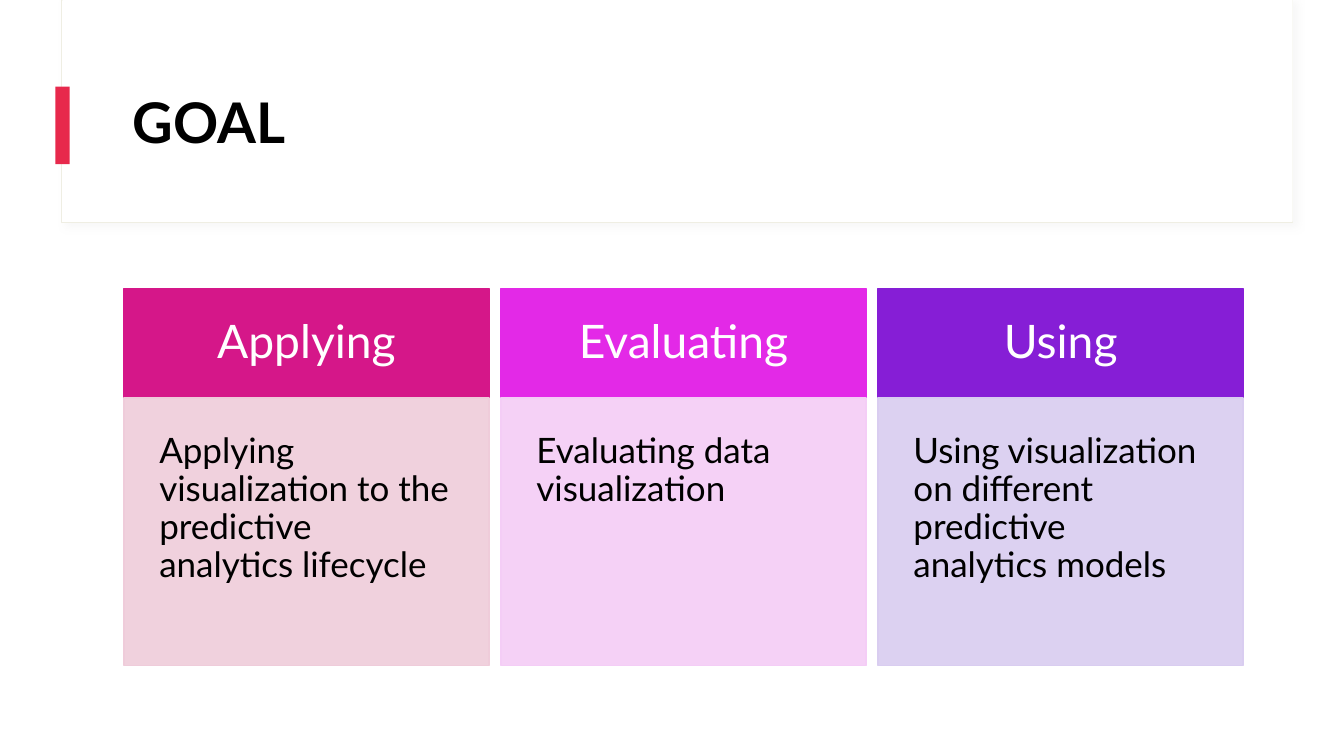
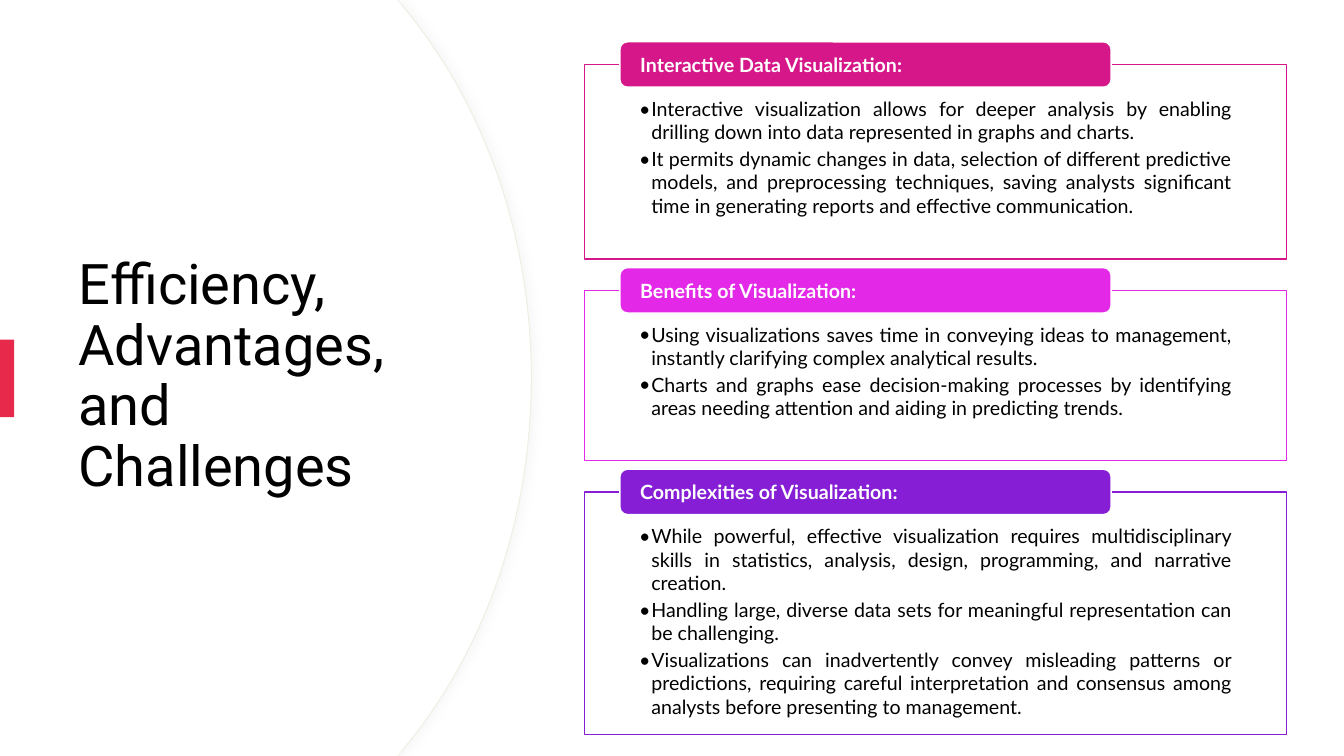
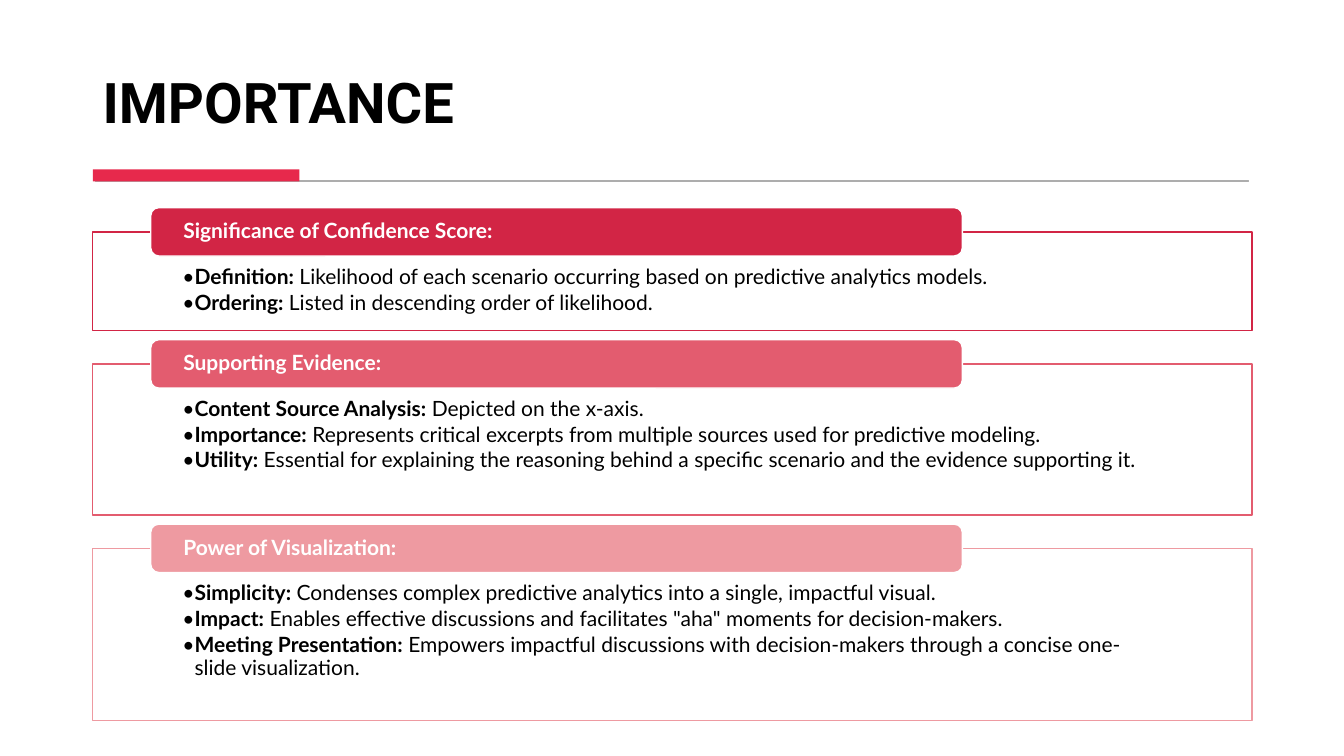
from lxml import etree
from pptx import Presentation, util as u
from pptx.dml.color import RGBColor
from pptx.enum import shapes, text
from pptx.oxml import ns

W, H = 13.33, 7.5
WHITE, BLACK, ACCENT, EDGE, RULE = "FFFFFF", "000000", "E7294C", "EFEEE3", "ADADAD"
PINK, MAGENTA, VIOLET = "D51789", "E329E7", "861ED6"
RECT, ROUND = shapes.MSO_SHAPE.RECTANGLE, shapes.MSO_SHAPE.ROUNDED_RECTANGLE
TOP, MIDDLE, BOTTOM = text.MSO_ANCHOR.TOP, text.MSO_ANCHOR.MIDDLE, text.MSO_ANCHOR.BOTTOM
LEFT, CENTER, JUSTIFY = text.PP_ALIGN.LEFT, text.PP_ALIGN.CENTER, text.PP_ALIGN.JUSTIFY

GOALS = [
    ("Applying", "Applying visualization to the predictive analytics lifecycle", PINK, "EFCCDA"),
    ("Evaluating", "Evaluating data visualization", MAGENTA, "F4CDF6"),
    ("Using", "Using visualization on different predictive analytics models", VIOLET, "D9CDF0"),
]

EFFICIENCY = [
    ("Interactive Data Visualization:", PINK, 1.93, [
        ("", "Interactive visualization allows for deeper analysis by enabling drilling down into data "
             "represented in graphs and charts."),
        ("", "It permits dynamic changes in data, selection of different predictive models, and "
             "preprocessing techniques, saving analysts significant time in generating reports and "
             "effective communication."),
    ]),
    ("Benefits of Visualization:", MAGENTA, 1.69, [
        ("", "Using visualizations saves time in conveying ideas to management, instantly clarifying "
             "complex analytical results."),
        ("", "Charts and graphs ease decision-making processes by identifying areas needing attention "
             "and aiding in predicting trends."),
    ]),
    ("Complexities of Visualization:", VIOLET, 2.41, [
        ("", "While powerful, effective visualization requires multidisciplinary skills in statistics, "
             "analysis, design, programming, and narrative creation."),
        ("", "Handling large, diverse data sets for meaningful representation can be challenging."),
        ("", "Visualizations can inadvertently convey misleading patterns or predictions, requiring "
             "careful interpretation and consensus among analysts before presenting to management."),
    ]),
]

IMPORTANCE = [
    ("Significance of Confidence Score:", "D22545", 0.98, [
        ("Definition:", " Likelihood of each scenario occurring based on predictive analytics models."),
        ("Ordering:", " Listed in descending order of likelihood."),
    ]),
    ("Supporting Evidence:", "E35C6F", 1.5, [
        ("Content Source Analysis:", " Depicted on the x-axis."),
        ("Importance:", " Represents critical excerpts from multiple sources used for predictive modeling."),
        ("Utility:", " Essential for explaining the reasoning behind a specific scenario and the evidence "
                     "supporting it."),
    ]),
    ("Power of Visualization:", "EE9AA1", 1.71, [
        ("Simplicity:", " Condenses complex predictive analytics into a single, impactful visual."),
        ("Impact:", " Enables effective discussions and facilitates \"aha\" moments for decision-makers."),
        ("Meeting Presentation:", " Empowers impactful discussions with decision-makers through a concise "
                                  "one-slide visualization."),
    ]),
]


def rgb(value):
    return RGBColor.from_string(value)


def paint(sp, fill, line=None, width=1, alpha=100):
    sp.shadow.inherit = False
    sp.fill.solid()
    sp.fill.fore_color.rgb = rgb(fill)
    if alpha < 100:
        color = sp._element.spPr.find(ns.qn("a:solidFill"))[0]
        etree.SubElement(color, ns.qn("a:alpha"), val=str(alpha * 1000))
    if line:
        sp.line.color.rgb = rgb(line)
        sp.line.width = u.Pt(width)
    else:
        sp.line.fill.background()
    return sp


def box(s, x, y, w, h, fill, line=None, kind=RECT, width=1, alpha=100):
    sp = s.shapes.add_shape(kind, *map(u.Inches, (x, y, w, h)))
    return paint(sp, fill, line, width, alpha)


def cast_shadow(sp, angle):
    effects = sp._element.spPr.find(ns.qn("a:effectLst"))
    outer = etree.SubElement(effects, ns.qn("a:outerShdw"), blurRad=str(u.Pt(6)),
                             dist=str(u.Pt(3)), dir=str(angle * 60000), rotWithShape="0")
    color = etree.SubElement(outer, ns.qn("a:srgbClr"), val="D9D9D9")
    etree.SubElement(color, ns.qn("a:alpha"), val="20000")


def frame(sp, insets, anchor):
    tf = sp.text_frame
    tf.word_wrap = True
    tf.vertical_anchor = anchor
    tf.margin_left, tf.margin_top, tf.margin_right, tf.margin_bottom = map(u.Inches, insets)
    return tf


def style(p, size, color=BLACK, bold=False, font="Lato", align=LEFT, spacing=0.9):
    p.alignment = align
    p.line_spacing = spacing
    for r in p.runs:
        r.font.name, r.font.size, r.font.bold = font, u.Pt(size), bold
        r.font.color.rgb = rgb(color)


def write(sp, words, insets, anchor, **look):
    tf = frame(sp, insets, anchor)
    tf.text = words
    style(tf.paragraphs[0], **look)


def title(s, words, x, y, w, h, anchor=MIDDLE, **look):
    sp = s.shapes.add_textbox(*map(u.Inches, (x, y, w, h)))
    write(sp, words, (0.1, 0.05, 0.1, 0.05), anchor, size=40, **look)


def bullet(p, indent=0.12):
    pPr = p._p.get_or_add_pPr()
    pPr.set("marL", str(u.Inches(indent)))
    pPr.set("indent", str(-u.Inches(indent)))
    etree.SubElement(pPr, ns.qn("a:buFont"), typeface="Lato")
    etree.SubElement(pPr, ns.qn("a:buChar"), char="•")


def panels(s, sections, x, y, w, gap, tab_h, size, insets, tab_inset, align, spacing):
    for heading, color, h, points in sections:
        tf = frame(box(s, x, y, w, h, WHITE, color, alpha=90), insets, TOP)
        for i, (lead, rest) in enumerate(points):
            p = tf.add_paragraph() if i else tf.paragraphs[0]
            bullet(p)
            p.space_after = u.Pt(0.15 * size)
            for words in filter(None, (lead, rest)):
                p.add_run().text = words
            style(p, size, align=align, spacing=spacing)
            p.runs[0].font.bold = bool(lead)
        tab = box(s, x + 0.05 * w, y - tab_h / 2, 0.7 * w, tab_h, color, WHITE, ROUND)
        write(tab, heading, (tab_inset, 0, tab_inset, 0), MIDDLE,
              size=size, color=WHITE, bold=True, spacing=spacing)
        y += h + gap


def dome(s, edge):
    upper = [(3.94, 0), (edge - 1.26, 0.08), (edge - 0.48, 1.02), (edge, 2.32), (edge, H / 2)]
    lower = [(x, H - y) for x, y in reversed(upper[:-1])]
    fb = s.shapes.build_freeform(0, 0, scale=1.0)
    fb.add_line_segments([(u.Inches(x), u.Inches(y)) for x, y in upper + lower + [(0, H)]], close=True)
    sp = fb.convert_to_shape()
    segments = list(sp._element.iter(ns.qn("a:lnTo")))
    for first in (2, 5):
        curve = etree.Element(ns.qn("a:cubicBezTo"))
        segments[first].addprevious(curve)
        for segment in segments[first:first + 3]:
            curve.append(segment[0])
            segment.getparent().remove(segment)
    return sp


def add_band(prs, s):
    edge = box(s, 0.61, 0, 12.21, 2.21, WHITE, EDGE, width=0.75)
    cast_shadow(edge, 45)
    for sp in (edge, box(s, 0.62, 0, 12.2, 2.2, WHITE)):
        prs.slide_master.shapes._spTree.append(sp._element)


def cover_band(s):
    box(s, 0, 0, W, H, WHITE)


def goal_slide(s):
    box(s, 0.55, 0.86, 0.14, 0.77, ACCENT)
    title(s, "GOAL", 1.22, 0.6, 11.12, 1.29, bold=True)
    left, top, col_w, gap, head_h, body_h = 1.23, 2.86, 3.62, 0.12, 1.09, 2.65
    for i, (heading, body, dark, pale) in enumerate(GOALS):
        x = left + i * (col_w + gap)
        write(box(s, x, top, col_w, head_h, dark, dark), heading, [0.29] * 4, MIDDLE,
              size=33, color=WHITE, align=CENTER)
        write(box(s, x, top + head_h, col_w, body_h, pale, pale, alpha=90), body, [0.35] * 4, TOP, size=25)


def efficiency_slide(s):
    cover_band(s)
    cast_shadow(paint(dome(s, 5.27), WHITE, EDGE, 0.75), 0)
    paint(dome(s, 5.26), WHITE)
    title(s, "Efficiency, Advantages, and Challenges", 0.68, 1.27, 3.94, 4.95, font="Roboto")
    box(s, 0, 3.37, 0.14, 0.77, ACCENT)
    panels(s, EFFICIENCY, 5.8, 0.64, 6.96, gap=0.31, tab_h=0.45, size=14,
           insets=(0.54, 0.32, 0.54, 0.11), tab_inset=0.18, align=JUSTIFY, spacing=1.0)


def importance_slide(s):
    cover_band(s)
    title(s, "IMPORTANCE", 0.92, 0.28, 11.49, 1.11, BOTTOM, bold=True, font="Roboto")
    box(s, 0.95, 1.79, 11.43, 0.01, RULE, RULE, width=0.75)
    box(s, 0.92, 1.68, 2.05, 0.12, ACCENT)
    panels(s, IMPORTANCE, 0.92, 2.3, 11.5, gap=0.33, tab_h=0.48, size=15,
           insets=(0.89, 0.34, 0.89, 0.12), tab_inset=0.3, align=LEFT, spacing=0.9)


def main():
    prs = Presentation()
    prs.slide_width, prs.slide_height = u.Inches(W), u.Inches(H)
    goal, efficiency, importance = [prs.slides.add_slide(prs.slide_layouts[6]) for _ in range(3)]
    add_band(prs, goal)
    goal_slide(goal)
    efficiency_slide(efficiency)
    importance_slide(importance)
    prs.save("out.pptx")


if __name__ == "__main__":
    main()
